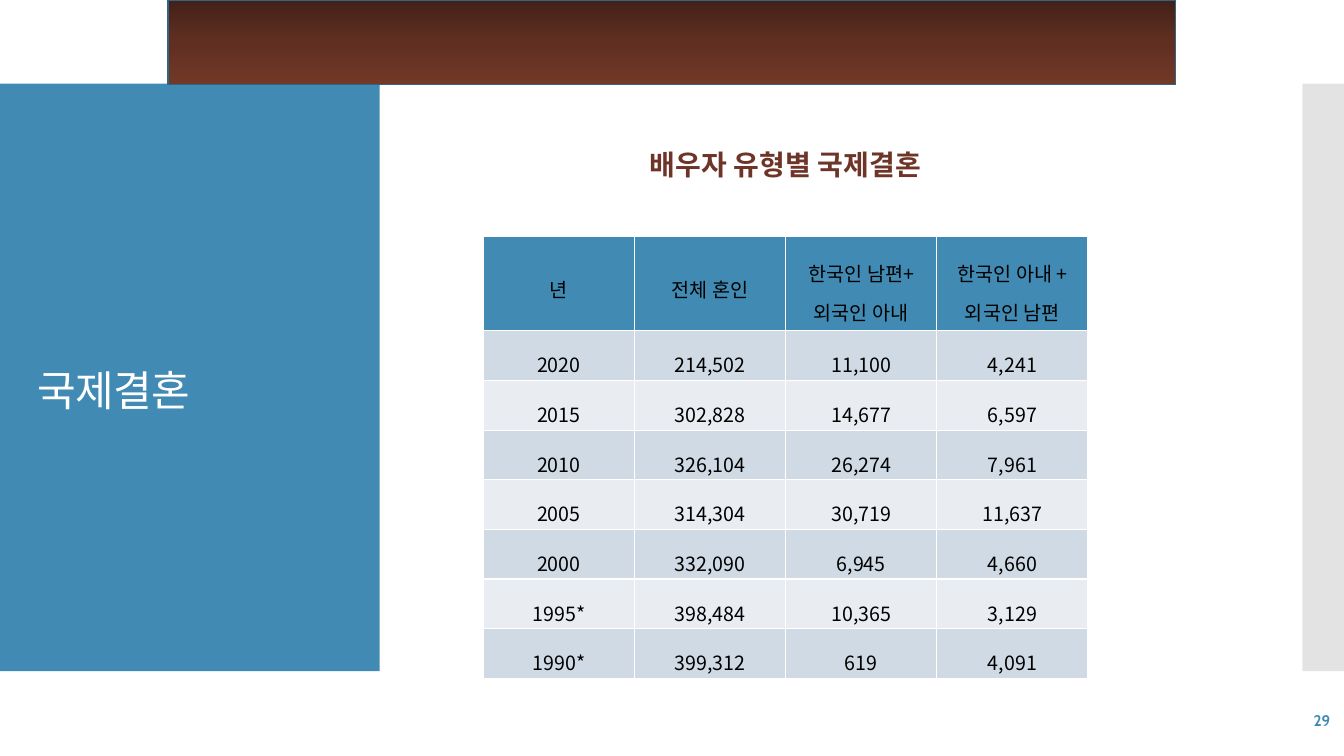
from copy import deepcopy
from dataclasses import dataclass

from lxml import etree
from pptx import Presentation
from pptx.dml.color import RGBColor
from pptx.enum import shapes, text
from pptx.oxml.ns import qn
from pptx.util import Pt

LATIN, KOREAN = "Cabin", "Noto Sans CJK KR"
BLUE, WHITE, BLACK = "418AB3", "FFFFFF", "000000"
BANDS = ("CFDAE5", "E9EDF2")
HEADER_HEIGHT, ROW_HEIGHT = 67.5, 35.47
HEADER = (("년",), ("전체 혼인",), ("한국인 남편", "+ ", "외국인 아내"),
          ("한국인 아내 ", "+ ", "외국인 남편"))
MARRIAGES = (
    ("2020", "214,502", "11,100", "4,241"),
    ("2015", "302,828", "14,677", "6,597"),
    ("2010", "326,104", "26,274", "7,961"),
    ("2005", "314,304", "30,719", "11,637"),
    ("2000", "332,090", "6,945", "4,660"),
    ("1995*", "398,484", "10,365", "3,129"),
    ("1990*", "399,312", "619", "4,091"),
)


@dataclass
class Box:
    left: float
    top: float
    width: float
    height: float

    def emu(self) -> tuple:
        return Pt(self.left), Pt(self.top), Pt(self.width), Pt(self.height)


@dataclass
class Label:
    box: Box
    words: str
    size: float
    color: str
    bold: bool = False
    align: text.PP_ALIGN = text.PP_ALIGN.LEFT
    anchor: text.MSO_ANCHOR = text.MSO_ANCHOR.MIDDLE
    line_spacing: float = 1.0
    tracking: float = 0
    wrap: bool = True


def rgb(color: str) -> RGBColor:
    return RGBColor.from_string(color)


def style(p, size: float, color: str, bold: bool = False, name: str = LATIN):
    """Set the paragraph font and return its properties element."""
    p.font.size, p.font.bold, p.font.name = Pt(size), bold, name
    p.font.color.rgb = rgb(color)
    props = p._p.pPr.find(qn("a:defRPr"))
    etree.SubElement(props, qn("a:ea")).set("typeface", name)
    return props


def add_panel(slide, box: Box, color: str, alpha: int = 100):
    sp = slide.shapes.add_shape(shapes.MSO_SHAPE.RECTANGLE, *box.emu())
    sp.shadow.inherit = False
    sp.fill.solid()
    sp.fill.fore_color.rgb = rgb(color)
    sp.line.fill.background()
    if alpha < 100:
        clr = sp._element.spPr.find(".//" + qn("a:srgbClr"))
        etree.SubElement(clr, qn("a:alpha")).set("val", str(alpha * 1000))
    return sp


def add_banner(slide, box: Box, colors: tuple) -> None:
    """Draw the outlined bar with an evenly stepped vertical gradient."""
    sp = add_panel(slide, box, colors[0])
    sp.fill.gradient()
    sp.fill.gradient_angle = 270
    stops = sp._element.spPr.find(".//" + qn("a:gsLst"))
    stops.insert(1, deepcopy(stops[0]))
    for i, (stop, color) in enumerate(zip(sp.fill.gradient_stops, colors)):
        stop.position = i / (len(colors) - 1)
        stop.color.rgb = rgb(color)
    sp.line.color.rgb = rgb("306684")
    sp.line.width = Pt(0.85)


def add_label(slide, label: Label) -> None:
    tf = slide.shapes.add_textbox(*label.box.emu()).text_frame
    tf.word_wrap = label.wrap
    tf.vertical_anchor = label.anchor
    if not label.wrap:
        tf.auto_size = text.MSO_AUTO_SIZE.SHAPE_TO_FIT_TEXT
    p = tf.paragraphs[0]
    p.add_run().text = label.words
    p.alignment, p.line_spacing = label.align, label.line_spacing
    props = style(p, label.size, label.color, label.bold)
    if label.tracking:
        props.set("spc", str(round(label.tracking * 100)))


def add_borders(cell) -> None:
    tc_pr = cell._tc.get_or_add_tcPr()
    for side in "LRTB":
        ln = etree.SubElement(tc_pr, qn("a:ln" + side), w=str(Pt(1)))
        fill = etree.SubElement(ln, qn("a:solidFill"))
        etree.SubElement(fill, qn("a:srgbClr"), val=WHITE)


def fill_cell(cell, parts: tuple, fill: str, name: str) -> None:
    add_borders(cell)
    cell.fill.solid()
    cell.fill.fore_color.rgb = rgb(fill)
    cell.vertical_anchor = text.MSO_ANCHOR.MIDDLE
    cell.margin_left = cell.margin_right = Pt(5.1)
    cell.margin_top = cell.margin_bottom = Pt(1.4)
    p = cell.text_frame.paragraphs[0]
    p.alignment, p.line_spacing = text.PP_ALIGN.CENTER, 1.6
    style(p, 14, BLACK, name=name)
    for part in parts:
        r = p.add_run()
        r.text = part
        if part == "+ ":
            r.font.name = KOREAN


def add_marriage_table(slide, left: float, top: float, width: float) -> None:
    heights = [HEADER_HEIGHT] + [ROW_HEIGHT] * len(MARRIAGES)
    box = Box(left, top, width, sum(heights))
    table = slide.shapes.add_table(len(heights), len(HEADER), *box.emu()).table
    table.first_row = table.horz_banding = False
    for row, height in zip(table.rows, heights):
        row.height = Pt(height)
    for c, parts in enumerate(HEADER):
        fill_cell(table.cell(0, c), parts, BLUE, LATIN)
    for r, values in enumerate(MARRIAGES):
        for c, value in enumerate(values):
            fill_cell(table.cell(r + 1, c), (value,), BANDS[r % 2], KOREAN)


def main() -> None:
    prs = Presentation()
    prs.slide_width, prs.slide_height = Pt(960), Pt(540)
    slide = prs.slides.add_slide(prs.slide_layouts[6])
    add_panel(slide, Box(0, 59.76, 271.2, 419.76), BLUE)
    add_panel(slide, Box(930.3, 59.76, 29.7, 419.76), "C8C8C8", alpha=50)
    add_label(slide, Label(Box(20, 88.5, 232, 362), "국제결혼", 30, WHITE,
                           line_spacing=1.5, tracking=-0.6))
    add_marriage_table(slide, 345.2, 168.8, 432)
    add_banner(slide, Box(120, 0, 720, 60.4), ("432118", "602F22", "723828"))
    add_label(slide, Label(Box(457, 101.5, 224.6, 31.5), "배우자 유형별 국제결혼",
                           20, "6E3428", bold=True,
                           anchor=text.MSO_ANCHOR.TOP, wrap=False))
    add_label(slide, Label(Box(837.4, 500.4, 120, 28.8), "29", 11, BLUE,
                           bold=True, align=text.PP_ALIGN.RIGHT))
    prs.save("out.pptx")


if __name__ == "__main__":
    main()
